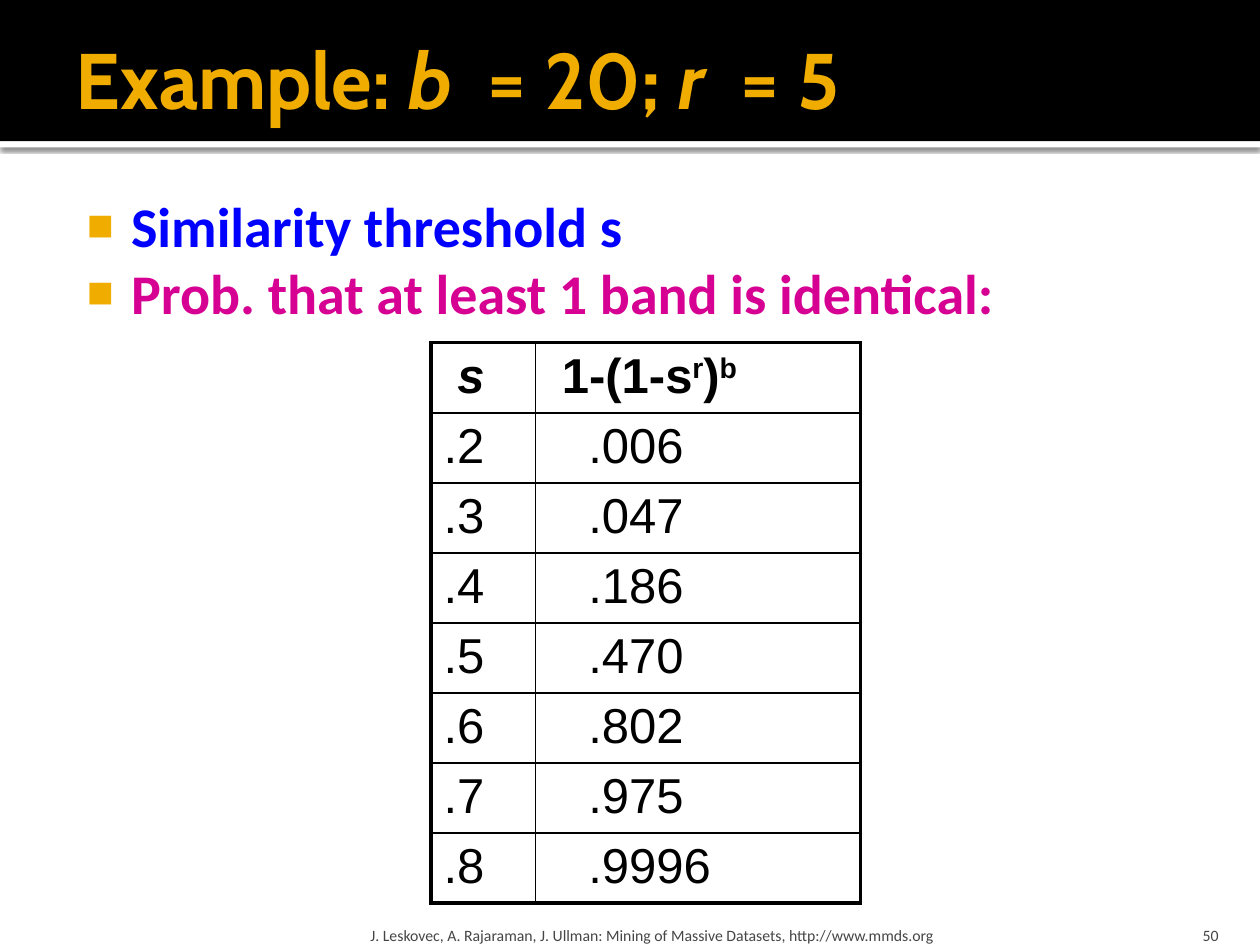
import pptx
import pptx.dml.color
import pptx.enum.shapes
import pptx.enum.text
import pptx.oxml
import pptx.oxml.ns
import pptx.util
from pptx.dml.color import RGBColor
from pptx.util import Inches

BLACK = RGBColor(0x00, 0x00, 0x00)
WHITE = RGBColor(0xFF, 0xFF, 0xFF)
GOLD = RGBColor(0xF0, 0xAD, 0x00)
BLUE = RGBColor(0x00, 0x00, 0xFF)
MAGENTA = RGBColor(0xD6, 0x00, 0x93)
GREY = RGBColor(0x45, 0x45, 0x45)

ANCHOR = pptx.enum.text.MSO_ANCHOR
ALIGN = pptx.enum.text.PP_ALIGN
NAMESPACE = pptx.oxml.ns.nsdecls("a")

PROBABILITIES = [
    (".2", ".006"),
    (".3", ".047"),
    (".4", ".186"),
    (".5", ".470"),
    (".6", ".802"),
    (".7", ".975"),
    (".8", ".9996"),
]


def style(font, name, size, color, bold=False):
    font.name = name
    font.size = pptx.util.Pt(size)
    font.color.rgb = color
    font.bold = bold


def place(box, left, top, width, height):
    box.left, box.top, box.width, box.height = left, top, width, height


def set_frame(frame, anchor, left, top, right, bottom):
    frame.word_wrap = True
    frame.auto_size = pptx.enum.text.MSO_AUTO_SIZE.NONE
    frame.vertical_anchor = anchor
    frame.margin_left, frame.margin_top = left, top
    frame.margin_right, frame.margin_bottom = right, bottom


def add_banner(page, left, top, width, height):
    """Black band with a shadowed white strip below, behind the placeholders."""
    strip_height = Inches(0.05)
    strip_top = top + height
    for color, y, tall in ((WHITE, strip_top, strip_height), (BLACK, top, height)):
        band = page.shapes.add_shape(
            pptx.enum.shapes.MSO_SHAPE.RECTANGLE, left, y, width, tall)
        band.shadow.inherit = False
        band.fill.solid()
        band.fill.fore_color.rgb = color
        band.line.fill.background()
        if color == WHITE:
            effects = band._element.spPr.find(pptx.oxml.ns.qn("a:effectLst"))
            effects.append(pptx.oxml.parse_xml(
                f'<a:outerShdw {NAMESPACE} blurRad="31750" dist="10160" dir="5400000"'
                ' algn="t" rotWithShape="0"><a:srgbClr val="000000">'
                '<a:alpha val="60000"/></a:srgbClr></a:outerShdw>'))
        page.shapes.title._element.addprevious(band._element)


def fill_title(title, left, top, width, height):
    place(title, left, top, width, height)
    set_frame(title.text_frame, ANCHOR.MIDDLE,
              Inches(0.1), Inches(0.05), Inches(0.05), Inches(0.05))
    para = title.text_frame.paragraphs[0]
    para.alignment = ALIGN.LEFT
    for text in ("Example: ", "b", " = 20; ", "r", " = 5"):
        span = para.add_run()
        span.text = text
        style(span.font, "Cabin", 45, GOLD, bold=True)
        span.font.italic = text in ("b", "r")
        if span.font.italic:
            span.font._element.set("spc", "1000")  # wide gap after a variable


def add_bullet(para):
    properties = para._p.get_or_add_pPr()
    properties.set("marL", str(Inches(0.48)))
    properties.set("indent", str(Inches(-0.35)))
    for markup in (
        f'<a:buClr {NAMESPACE}><a:srgbClr val="{GOLD}"/></a:buClr>',
        f'<a:buSzPct {NAMESPACE} val="80000"/>',
        f'<a:buFont {NAMESPACE} typeface="Arial"/>',
        f'<a:buChar {NAMESPACE} char="■"/>',
    ):
        properties.append(pptx.oxml.parse_xml(markup))


def fill_body(body, left, top, width, height):
    place(body, left, top, width, height)
    frame = body.text_frame
    set_frame(frame, ANCHOR.TOP,
              Inches(0.06), Inches(0.1), Inches(0.1), Inches(0.05))
    frame.text = "Similarity threshold s\nProb. that at least 1 band is identical:"
    for para, color in zip(frame.paragraphs, (BLUE, MAGENTA)):
        para.space_before = pptx.util.Pt(0)
        add_bullet(para)
        style(para.runs[0].font, "Calibri", 32, color, bold=True)


def set_borders(cell, widths):
    """Draw the cell's left, right, top and bottom lines at widths in points."""
    properties = cell._tc.get_or_add_tcPr()
    for position, (side, points) in enumerate(zip("LRTB", widths)):
        properties.insert(position, pptx.oxml.parse_xml(
            f'<a:ln{side} {NAMESPACE} w="{pptx.util.Pt(points)}"><a:solidFill>'
            f'<a:srgbClr val="{BLACK}"/></a:solidFill></a:ln{side}>'))


def add_probability_table(page, left, top, width, height):
    # Each cell is a list of (text, kind of run).
    header = (
        [("s", "italic")],
        [("1-(1-s", ""), ("r", "raised"), (")", ""), ("b", "raised")],
    )
    rows = [header] + [tuple([(text, "")] for text in row) for row in PROBABILITIES]
    table = page.shapes.add_table(len(rows), 2, left, top, width, height).table
    table.first_row = table.horz_banding = False
    table.columns[0].width = Inches(0.83)
    table.columns[1].width = width - Inches(0.83)
    thin, thick = 1, 2.25
    for r, row in enumerate(rows):
        table.rows[r].height = height // len(rows)
        for c, spans in enumerate(row):
            cell = table.cell(r, c)
            cell.fill.background()
            cell.margin_left = Inches(0.21 if r == 0 else (0.1, 0.42)[c])
            set_borders(cell, (
                thick if c == 0 else thin,
                thick if c == 1 else thin,
                thick if r == 0 else thin,
                thick if r == len(rows) - 1 else thin,
            ))
            para = cell.text_frame.paragraphs[0]
            for text, kind in spans:
                span = para.add_run()
                span.text = text
                style(span.font, "Arial", 28, BLACK, bold=r == 0)
                span.font.italic = kind == "italic"
                if kind == "raised":
                    span.font._element.set("baseline", "30000")


def add_footer_text(page, text, alignment, side, left, top, width, height):
    box = page.shapes.add_textbox(left, top, width, height)
    set_frame(box.text_frame, ANCHOR.BOTTOM, side, Inches(0.05), side, 0)
    box.text_frame.text = text
    para = box.text_frame.paragraphs[0]
    para.alignment = alignment
    style(para.runs[0].font, "Calibri", 9, GREY)


def main():
    deck = pptx.Presentation()
    deck.slide_width, deck.slide_height = Inches(10), Inches(7.5)
    page = deck.slides.add_slide(deck.slide_layouts[1])
    add_banner(page, 0, 0, deck.slide_width, Inches(1.12))
    fill_title(page.shapes.title, Inches(0.5), Inches(0.08), Inches(9), Inches(1.08))
    fill_body(page.placeholders[1], Inches(0.5), Inches(1.42), Inches(9), Inches(5.75))
    add_footer_text(
        page,
        "J. Leskovec, A. Rajaraman, J. Ullman: Mining of Massive Datasets, "
        "http://www.mmds.org",
        ALIGN.LEFT, Inches(0.05), Inches(2.89), Inches(7.2), Inches(6.02), Inches(0.3))
    add_footer_text(page, "50", ALIGN.RIGHT, Inches(0.1),
                    Inches(8.97), Inches(7.2), Inches(0.8), Inches(0.3))
    add_probability_table(page, Inches(3.42), Inches(2.72), Inches(3.41), Inches(4.45))
    deck.save("out.pptx")


if __name__ == "__main__":
    main()
